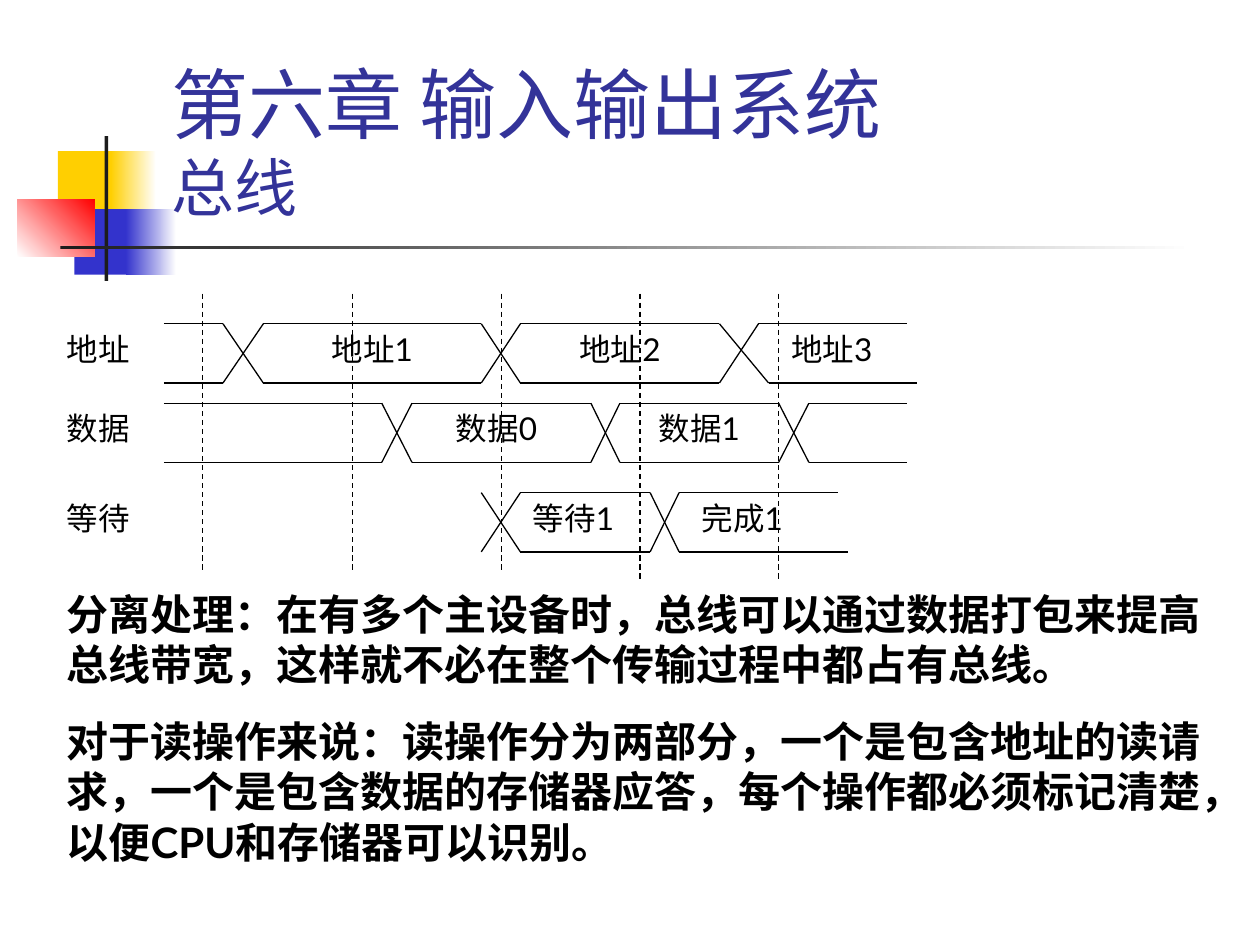
from dataclasses import dataclass

import pptx
import pptx.dml.color
import pptx.enum.dml
import pptx.enum.shapes
import pptx.enum.text
import pptx.oxml.ns
import pptx.slide
import pptx.util
from lxml import etree

Inches = pptx.util.Inches
Pt = pptx.util.Pt
Align = pptx.enum.text.PP_ALIGN
Anchor = pptx.enum.text.MSO_ANCHOR

FONT = "Lato"
BLACK, WHITE, CHARCOAL = "000000", "FFFFFF", "1C1C1C"
GOLD, BLUE, RED, NAVY = "FFCF01", "3333CC", "FF0000", "333399"
LANE_HEIGHT = 0.47
LABEL_HEIGHT = 0.4


@dataclass
class Block:
    left: float
    top: float
    width: float
    height: float
    colours: tuple[str, ...]
    angle: float = 0


@dataclass
class Crossing:
    left: float
    rise_end: float
    fall_end: float


@dataclass
class Label:
    text: str
    left: float
    width: float
    align: Align = Align.CENTER


@dataclass
class Lane:
    top: float
    start: float
    crossings: list[Crossing]
    upper_end: float
    lower_end: float
    labels: list[Label]


def colour(value: str) -> pptx.dml.color.RGBColor:
    return pptx.dml.color.RGBColor.from_string(value)


def draw_block(slide: pptx.slide.Slide, block: Block) -> None:
    rect = slide.shapes.add_shape(
        pptx.enum.shapes.MSO_SHAPE.RECTANGLE,
        Inches(block.left), Inches(block.top), Inches(block.width), Inches(block.height),
    )
    rect.shadow.inherit = False
    rect.line.fill.background()
    if len(block.colours) == 1:
        rect.fill.solid()
        rect.fill.fore_color.rgb = colour(block.colours[0])
        return
    rect.fill.gradient()
    rect.fill.gradient_angle = block.angle
    for position, (stop, value) in enumerate(zip(rect.fill.gradient_stops, block.colours)):
        stop.color.rgb = colour(value)
        stop.position = position


def draw_line(
    slide: pptx.slide.Slide, x1: float, y1: float, x2: float, y2: float, dashed: bool = False
) -> None:
    line = slide.shapes.add_connector(
        pptx.enum.shapes.MSO_CONNECTOR.STRAIGHT, Inches(x1), Inches(y1), Inches(x2), Inches(y2)
    )
    line.line.color.rgb = colour(BLACK)
    line.line.width = Pt(0.75)
    if dashed:
        line.line.dash_style = pptx.enum.dml.MSO_LINE.DASH
    properties = line._element.find(pptx.oxml.ns.qn("p:spPr"))
    etree.SubElement(properties, pptx.oxml.ns.qn("a:effectLst"))


def write_text(
    slide: pptx.slide.Slide,
    paragraphs: list[str],
    *,
    left: float,
    top: float,
    width: float,
    height: float,
    sizes: tuple[float, ...] = (18,),
    text_colour: str = BLACK,
    bold: bool = False,
    align: Align = Align.LEFT,
    anchor: Anchor = Anchor.TOP,
    gap: float = 0,
) -> None:
    frame = slide.shapes.add_textbox(
        Inches(left), Inches(top), Inches(width), Inches(height)
    ).text_frame
    frame.word_wrap = True
    frame.vertical_anchor = anchor
    for index, content in enumerate(paragraphs):
        paragraph = frame.add_paragraph() if index else frame.paragraphs[0]
        paragraph.alignment = align
        if index:
            paragraph.space_before = Pt(gap)
        for row, (part, size) in enumerate(zip(content.split("\n"), sizes)):
            if row:
                paragraph.add_line_break()
            run = paragraph.add_run()
            run.text = part
            run.font.name = FONT
            run.font.size = Pt(size)
            run.font.bold = bold
            run.font.color.rgb = colour(text_colour)


def draw_lane(slide: pptx.slide.Slide, lane: Lane) -> None:
    top, bottom = lane.top, lane.top + LANE_HEIGHT
    upper = lower = lane.start
    for crossing in lane.crossings:
        if crossing.left > lane.start:
            draw_line(slide, upper, top, crossing.left, top)
            draw_line(slide, lower, bottom, crossing.left, bottom)
        draw_line(slide, crossing.left, top, crossing.fall_end, bottom)
        draw_line(slide, crossing.left, bottom, crossing.rise_end, top)
        upper, lower = crossing.rise_end, crossing.fall_end
    draw_line(slide, upper, top, lane.upper_end, top)
    draw_line(slide, lower, bottom, lane.lower_end, bottom)
    for label in lane.labels:
        write_text(slide, [label.text], left=label.left, top=top, width=label.width,
                   height=LABEL_HEIGHT, align=label.align)


ORNAMENT = [
    Block(0.46, 1.2, 0.48, 0.52, (GOLD,)),
    Block(0.88, 1.2, 0.36, 0.52, (GOLD, WHITE)),
    Block(0.59, 1.66, 0.46, 0.52, (BLUE,)),
    Block(1, 1.66, 0.4, 0.52, (BLUE, WHITE)),
    Block(0.14, 1.58, 0.61, 0.46, (WHITE, RED), 45),
    Block(0.83, 1.08, 0.03, 1.15, (CHARCOAL,)),
    Block(0.48, 1.95, 9, 0.03, (CHARCOAL, WHITE)),
]

CLOCK_TICKS = [(1.61, 4.54), (2.8, 4.54), (3.98, 4.54), (5.08, 4.62), (6.18, 4.62)]

LANES = [
    Lane(2.57, 1.3,
         [Crossing(1.77, 2.09, 2.09), Crossing(3.82, 4.13, 4.13), Crossing(5.71, 6.02, 6.1)],
         7.2, 7.28,
         [Label("地址", 0.43, 0.94, Align.LEFT), Label("地址1", 2.09, 1.73),
          Label("地址2", 4.21, 1.42), Label("地址3", 6.18, 1.02, Align.LEFT)]),
    Lane(3.2, 1.3,
         [Crossing(3.03, 3.27, 3.27), Crossing(4.69, 4.92, 4.92), Crossing(6.18, 6.42, 6.42)],
         7.2, 7.2,
         [Label("数据", 0.43, 0.94, Align.LEFT), Label("数据0", 3.35, 1.18),
          Label("数据1", 5, 1.1)]),
    Lane(3.91, 3.82,
         [Crossing(3.82, 4.13, 4.13), Crossing(5.16, 5.39, 5.39)],
         6.65, 6.73,
         [Label("等待", 0.43, 0.86, Align.LEFT), Label("等待1", 4.13, 1.02, Align.LEFT),
          Label("完成1", 5.47, 1.1, Align.LEFT)]),
]

EXPLANATION = [
    "分离处理：在有多个主设备时，总线可以通过数据打包来提高总线带宽，这样就不必在整个传输过程中都占有总线。",
    "对于读操作来说：读操作分为两部分，一个是包含地址的读请求，一个是包含数据的存储器应答，每个操作都必须标记清楚，以便CPU和存储器可以识别。",
]


def main() -> None:
    deck = pptx.Presentation()
    deck.slide_width, deck.slide_height = Inches(10), Inches(7.5)
    slide = deck.slides.add_slide(deck.slide_layouts[6])
    for block in ORNAMENT:
        draw_block(slide, block)
    write_text(slide, ["第六章 输入输出系统\n总线"], left=1.26, top=0.23, width=8.52, height=1.6,
               sizes=(44, 36), text_colour=NAVY, anchor=Anchor.BOTTOM)
    for x, end in CLOCK_TICKS:
        draw_line(slide, x, 2.33, x, end, dashed=True)
    for lane in LANES:
        draw_lane(slide, lane)
    write_text(slide, EXPLANATION, left=0.43, top=4.62, width=9.29, height=2.31,
               sizes=(24,), bold=True, gap=15)
    deck.save("out.pptx")


if __name__ == "__main__":
    main()
